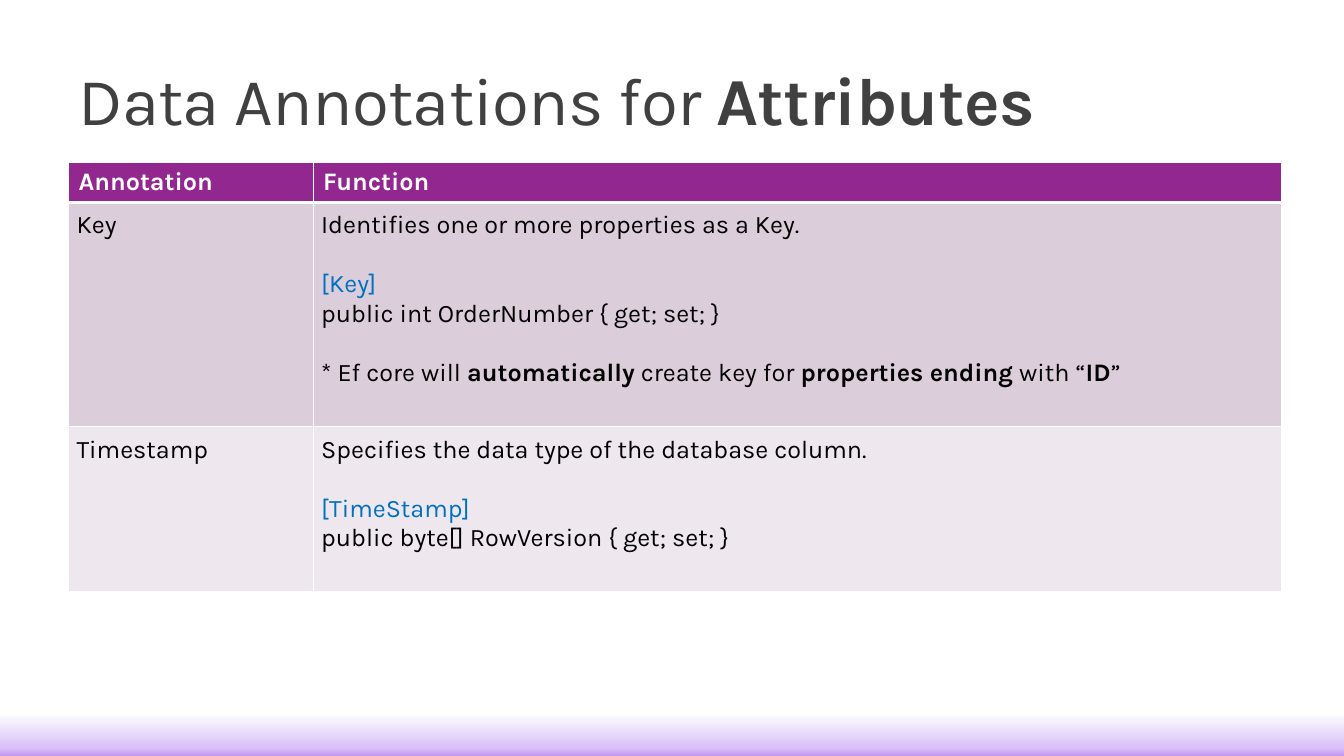
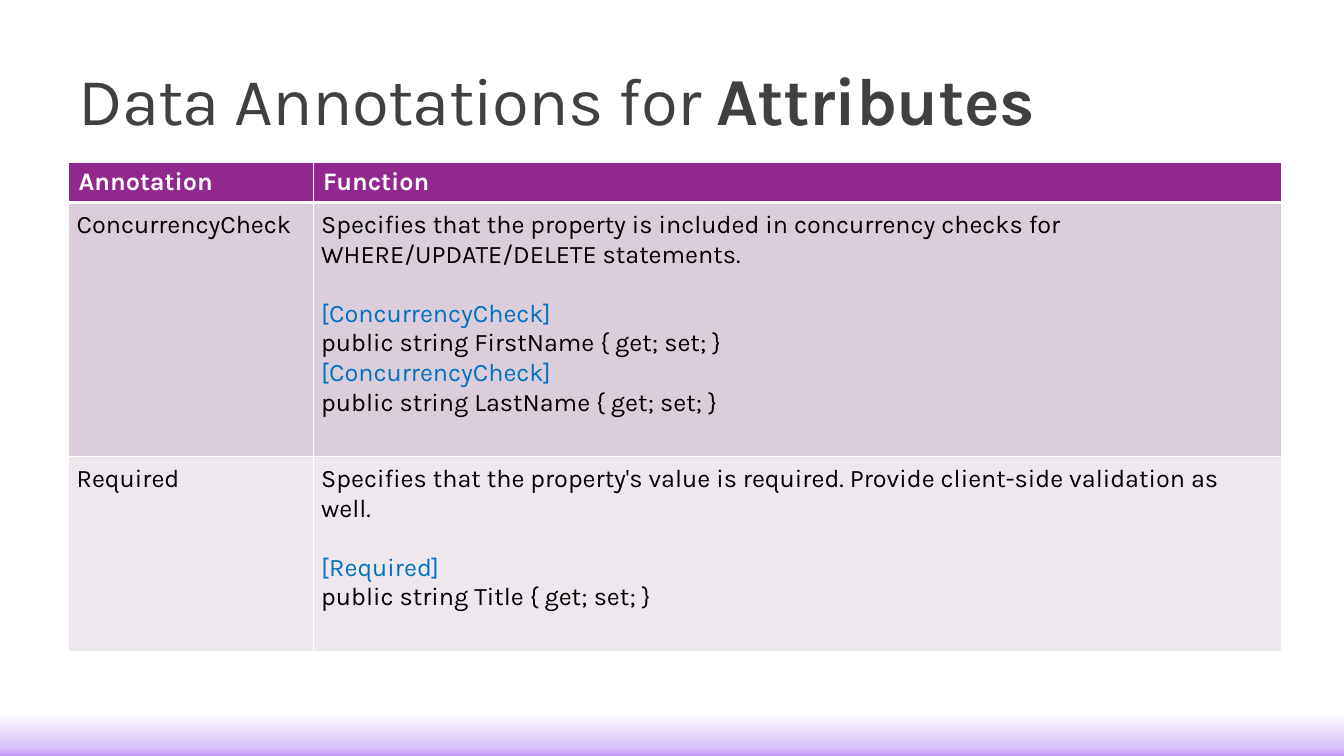
import copy
import math

from lxml import etree
from pptx import Presentation
from pptx import util as u
from pptx.dml.color import RGBColor
from pptx.enum import shapes, text
from pptx.oxml import ns

WIDTH, HEIGHT = u.Inches(13.33), u.Inches(7.5)
MARGIN = u.Inches(0.68)
CONTENT_WIDTH = u.Inches(12.03)
FONT = "Karla"

WHITE = RGBColor(0xFF, 0xFF, 0xFF)
BLACK = RGBColor(0, 0, 0)
GREY = RGBColor(0x40, 0x40, 0x40)
BLUE = RGBColor(0x00, 0x70, 0xC0)
PURPLE = RGBColor(0x92, 0x27, 0x8F)
ROW_FILLS = (RGBColor(0xDC, 0xCD, 0xDB), RGBColor(0xEE, 0xE8, 0xEE))
BAND_STOPS = (
    (0, RGBColor(0xC3, 0x99, 0xF4)),
    (0.19, RGBColor(0xD9, 0xC1, 0xF7)),
    (1, WHITE),
)

TITLE = "Data Annotations for **Attributes**"
HEADINGS = ("Annotation", "Function")
FIRST_COLUMN = 0.2
HEADER_HEIGHT = u.Inches(0.4)
LINE_HEIGHT = u.Inches(0.295)
LINE_CHARS = 80
CELL_INSET = u.Inches(0.08)
BLOCK_GAP = u.Pt(21)

# Each slide lists (annotation, blocks); a block is a group of paragraphs.
SLIDES = (
    (
        ("Key", (
            ("Identifies one or more properties as a Key.",),
            ("[Key]", "public int OrderNumber { get; set; }"),
            ("* Ef core will **automatically** create key for "
             "**properties ending** with “**ID**”",),
        )),
        ("Timestamp", (
            ("Specifies the data type of the database column.",),
            ("[TimeStamp]", "public byte[] RowVersion { get; set; }"),
        )),
    ),
    (
        ("ConcurrencyCheck", (
            ("Specifies that the property is included in concurrency checks "
             "for WHERE/UPDATE/DELETE statements.",),
            ("[ConcurrencyCheck]", "public string FirstName { get; set; }",
             "[ConcurrencyCheck]", "public string LastName { get; set; }"),
        )),
        ("Required", (
            ("Specifies that the property's value is required. "
             "Provide client-side validation as well.",),
            ("[Required]", "public string Title { get; set; }"),
        )),
    ),
)


def write(para, marked, size, color, bold=False):
    """Fill a paragraph; parts between ** marks are bold."""
    for index, part in enumerate(marked.split("**")):
        if not part:
            continue
        span = para.add_run()
        span.text = part
        span.font.name = FONT
        span.font.size = u.Pt(size)
        span.font.bold = bold or index % 2 == 1
        span.font.color.rgb = color


def add_band(page, left, top, width, height):
    band = page.shapes.add_shape(
        shapes.MSO_SHAPE.RECTANGLE, left, top, width, height)
    band.shadow.inherit = False
    band.line.fill.background()
    band.fill.gradient()
    band.fill.gradient_angle = 90
    first = next(band._element.iter(ns.qn("a:gs")))
    first.addnext(copy.deepcopy(first))
    for stop, (position, color) in zip(band.fill.gradient_stops, BAND_STOPS):
        stop.position = position
        stop.color.rgb = color


def add_title(page, left, top, width, height):
    box = page.shapes.add_textbox(left, top, width, height)
    frame = box.text_frame
    frame.word_wrap = True
    frame.vertical_anchor = text.MSO_ANCHOR.BOTTOM
    para = frame.paragraphs[0]
    para.line_spacing = 0.85
    write(para, TITLE, 48, GREY)
    for span in para.runs:
        span._r.get_or_add_rPr().set("spc", "-50")


def set_borders(cell, top, bottom):
    """White cell borders; widths in points, sides are always 1."""
    properties = cell._tc.get_or_add_tcPr()
    sides = (("lnL", 1), ("lnR", 1), ("lnT", top), ("lnB", bottom))
    for index, (tag, points) in enumerate(sides):
        line = etree.Element(ns.qn(f"a:{tag}"), w=str(u.Pt(points)))
        fill = etree.SubElement(line, ns.qn("a:solidFill"))
        etree.SubElement(fill, ns.qn("a:srgbClr"), val=str(WHITE))
        properties.insert(index, line)


def fill_cell(cell, blocks, fill):
    cell.fill.solid()
    cell.fill.fore_color.rgb = fill
    cell.margin_left = cell.margin_right = CELL_INSET
    cell.margin_top = cell.margin_bottom = CELL_INSET
    para = None
    for block in blocks:
        for index, line in enumerate(block):
            gap = para is not None and index == 0
            frame = cell.text_frame
            para = frame.add_paragraph() if para else frame.paragraphs[0]
            if gap:
                para.space_before = BLOCK_GAP
            write(para, line, 18, BLUE if line.startswith("[") else BLACK)


def row_height(blocks):
    """Room for the wrapped lines and one empty line after each block."""
    lines = sum(math.ceil(len(line.replace("**", "")) / LINE_CHARS)
                for block in blocks for line in block)
    return (lines + len(blocks)) * LINE_HEIGHT + 2 * CELL_INSET


def add_annotations(page, left, top, width, entries):
    heights = [HEADER_HEIGHT] + [row_height(blocks) for _, blocks in entries]
    table = page.shapes.add_table(
        len(heights), 2, left, top, width, sum(heights)).table
    table.horz_banding = False
    table.columns[0].width = int(width * FIRST_COLUMN + u.Inches(0.02))
    table.columns[1].width = width - table.columns[0].width
    for row, height in zip(table.rows, heights):
        row.height = height

    for column, heading in enumerate(HEADINGS):
        cell = table.cell(0, column)
        cell.fill.solid()
        cell.fill.fore_color.rgb = PURPLE
        write(cell.text_frame.paragraphs[0], heading, 18, WHITE, bold=True)
        set_borders(cell, 1, 3)

    for row, (name, blocks) in enumerate(entries, start=1):
        fill = ROW_FILLS[(row - 1) % len(ROW_FILLS)]
        for column, content in enumerate((((name,),), blocks)):
            cell = table.cell(row, column)
            fill_cell(cell, content, fill)
            set_borders(cell, 3 if row == 1 else 1, 1)


def add_page(deck, entries):
    page = deck.slides.add_slide(deck.slide_layouts[6])
    page.background.fill.solid()
    page.background.fill.fore_color.rgb = WHITE
    band_height = u.Inches(0.43)
    add_band(page, 0, HEIGHT - band_height, WIDTH, band_height)
    add_title(page, MARGIN, u.Inches(0.51), CONTENT_WIDTH, u.Inches(0.92))
    add_annotations(page, MARGIN, u.Inches(1.61), CONTENT_WIDTH, entries)


def main():
    deck = Presentation()
    deck.slide_width, deck.slide_height = WIDTH, HEIGHT
    for entries in SLIDES:
        add_page(deck, entries)
    deck.save("out.pptx")


if __name__ == "__main__":
    main()
